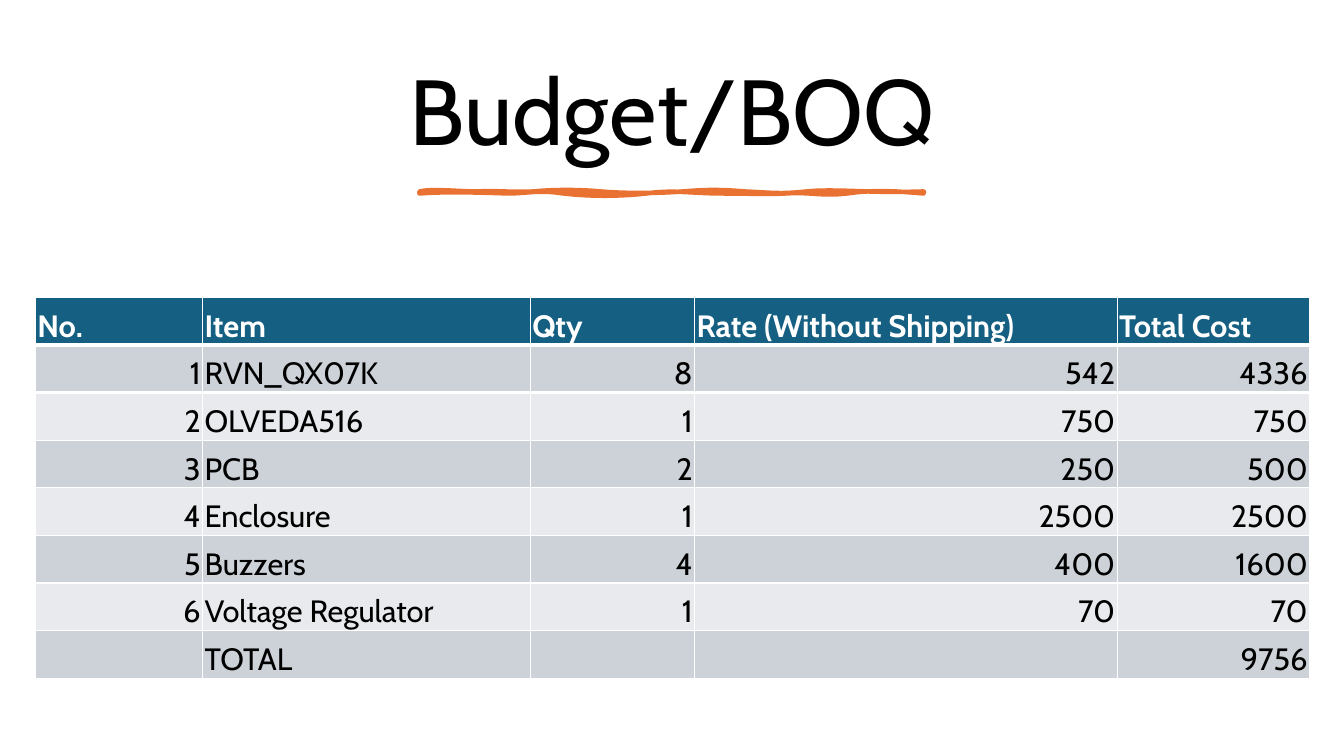
from lxml.etree import SubElement
from pptx import Presentation
from pptx.dml.color import RGBColor
from pptx.enum.text import MSO_ANCHOR, PP_ALIGN
from pptx.oxml.ns import qn
from pptx.util import Inches, Pt

FONT = "Cabin"
BLACK = RGBColor(0x00, 0x00, 0x00)
WHITE = RGBColor(0xFF, 0xFF, 0xFF)
ORANGE = RGBColor(0xE9, 0x71, 0x32)
TEAL = RGBColor(0x15, 0x60, 0x82)
BANDS = (RGBColor(0xCC, 0xD2, 0xD8), RGBColor(0xE8, 0xEA, 0xED))

HEADINGS = ("No.", "Item", "Qty", "Rate (Without Shipping)", "Total Cost")
COLUMN_WIDTHS = (1.66, 3.25, 1.63, 4.19, 1.91)
ITEMS = (  # item, quantity, rate
    ("RVN_QX07K", 8, 542),
    ("OLVEDA516", 1, 750),
    ("PCB", 2, 250),
    ("Enclosure", 1, 2500),
    ("Buzzers", 4, 400),
    ("Voltage Regulator", 1, 70),
)

# Brush stroke: Bezier segments (two controls, end point) from its top left corner
STROKE = (
    ((0.12, -0.03), (0.38, 0), (0.57, 0)),
    ((0.76, -0.01), (0.93, 0.01), (1.13, 0)),
    ((1.33, -0.02), (1.58, -0.02), (1.8, 0)),
    ((2.01, 0.02), (2.37, 0.02), (2.61, 0)),
    ((2.86, -0.02), (2.98, -0.02), (3.23, 0)),
    ((3.47, 0.01), (3.58, 0.03), (3.84, 0)),
    ((4.1, -0.03), (4.51, 0.02), (5, 0)),
    ((5.01, 0.01), (5, 0.01), (5, 0.02)),
    ((4.79, 0), (4.49, -0.02), (4.24, 0.02)),
    ((3.99, 0.05), (3.85, 0), (3.63, 0.02)),
    ((3.4, 0.03), (3.31, 0.02), (3.01, 0.02)),
    ((2.71, 0.02), (2.51, -0.02), (2.25, 0.02)),
    ((1.98, 0.05), (1.69, 0.05), (1.43, 0.02)),
    ((1.18, -0.02), (1.07, 0.02), (0.87, 0.02)),
    ((0.67, 0.01), (0.22, 0), (0, 0.02)),
)
STEPS = 8


def add_run(paragraph, text, size, color, bold=False):
    run = paragraph.add_run()
    run.text = text
    run.font.name = FONT
    run.font.size = Pt(size)
    run.font.bold = bold
    run.font.color.rgb = color


def add_title(slide, left, top, width, height):
    text_box = slide.shapes.add_textbox(Inches(left), Inches(top), Inches(width), Inches(height))
    frame = text_box.text_frame
    frame.word_wrap = True
    frame.vertical_anchor = MSO_ANCHOR.MIDDLE
    paragraph = frame.paragraphs[0]
    paragraph.alignment = PP_ALIGN.CENTER
    paragraph.line_spacing = 0.9
    add_run(paragraph, "Budget/BOQ", 66, BLACK)


def bezier_point(points, t):
    weights = ((1 - t) ** 3, 3 * t * (1 - t) ** 2, 3 * t * t * (1 - t), t ** 3)
    return tuple(sum(w * point[axis] for w, point in zip(weights, points)) for axis in (0, 1))


def add_underline(slide, left, top):
    start = (0, 0)
    outline = []
    for segment in STROKE:
        for step in range(1, STEPS + 1):
            x, y = bezier_point((start, *segment), step / STEPS)
            outline.append((Inches(left + x), Inches(top + y)))
        start = segment[-1]
    builder = slide.shapes.build_freeform(Inches(left), Inches(top))
    builder.add_line_segments(outline, close=True)
    shape = builder.convert_to_shape()
    shape.shadow.inherit = False
    shape.fill.solid()
    shape.fill.fore_color.rgb = ORANGE
    shape.line.color.rgb = ORANGE
    shape.line.width = Pt(3.25)


def fill_cell(cell, value, fill, color, bold):
    cell.fill.solid()
    cell.fill.fore_color.rgb = fill
    cell.vertical_anchor = MSO_ANCHOR.BOTTOM
    cell.margin_left = cell.margin_top = cell.margin_right = Inches(0.02)
    cell.margin_bottom = 0
    if value == "":
        return
    paragraph = cell.text_frame.paragraphs[0]
    paragraph.alignment = PP_ALIGN.RIGHT if isinstance(value, int) else PP_ALIGN.LEFT
    add_run(paragraph, str(value), 22, color, bold)


def set_rule(cell, edge, points):
    properties = cell._tc.get_or_add_tcPr()
    line = SubElement(properties, qn(f"a:{edge}"), w=str(Pt(points)))
    SubElement(SubElement(line, qn("a:solidFill")), qn("a:srgbClr"), val=str(WHITE))
    properties.insert(0, line)


def add_budget_table(slide, left, top, width, height):
    rows = [HEADINGS]
    for number, (item, quantity, rate) in enumerate(ITEMS, 1):
        rows.append((number, item, quantity, rate, quantity * rate))
    rows.append(("", "TOTAL", "", "", sum(row[-1] for row in rows[1:])))

    # The default table style supplies the thin white rules
    table = slide.shapes.add_table(len(rows), len(HEADINGS), Inches(left), Inches(top),
                                   Inches(width), Inches(height)).table
    for column, column_width in zip(table.columns, COLUMN_WIDTHS):
        column.width = Inches(column_width)
    for row_index, row in enumerate(rows):
        header = row_index == 0
        fill = TEAL if header else BANDS[(row_index - 1) % 2]
        for column_index, value in enumerate(row):
            cell = table.cell(row_index, column_index)
            fill_cell(cell, value, fill, WHITE if header else BLACK, header)
            # Thick rule between the header and the first item
            if header:
                set_rule(cell, "lnB", 3)
            elif row_index == 1:
                set_rule(cell, "lnT", 3)


def main():
    presentation = Presentation()
    presentation.slide_width = Inches(13.33)
    presentation.slide_height = Inches(7.5)
    slide = presentation.slides.add_slide(presentation.slide_layouts[6])
    add_title(slide, 0.7, 0.46, 11.93, 1.37)
    add_underline(slide, 4.16, 1.9)
    add_budget_table(slide, 0.35, 2.95, sum(COLUMN_WIDTHS), 3.78)
    presentation.save("out.pptx")


if __name__ == "__main__":
    main()
